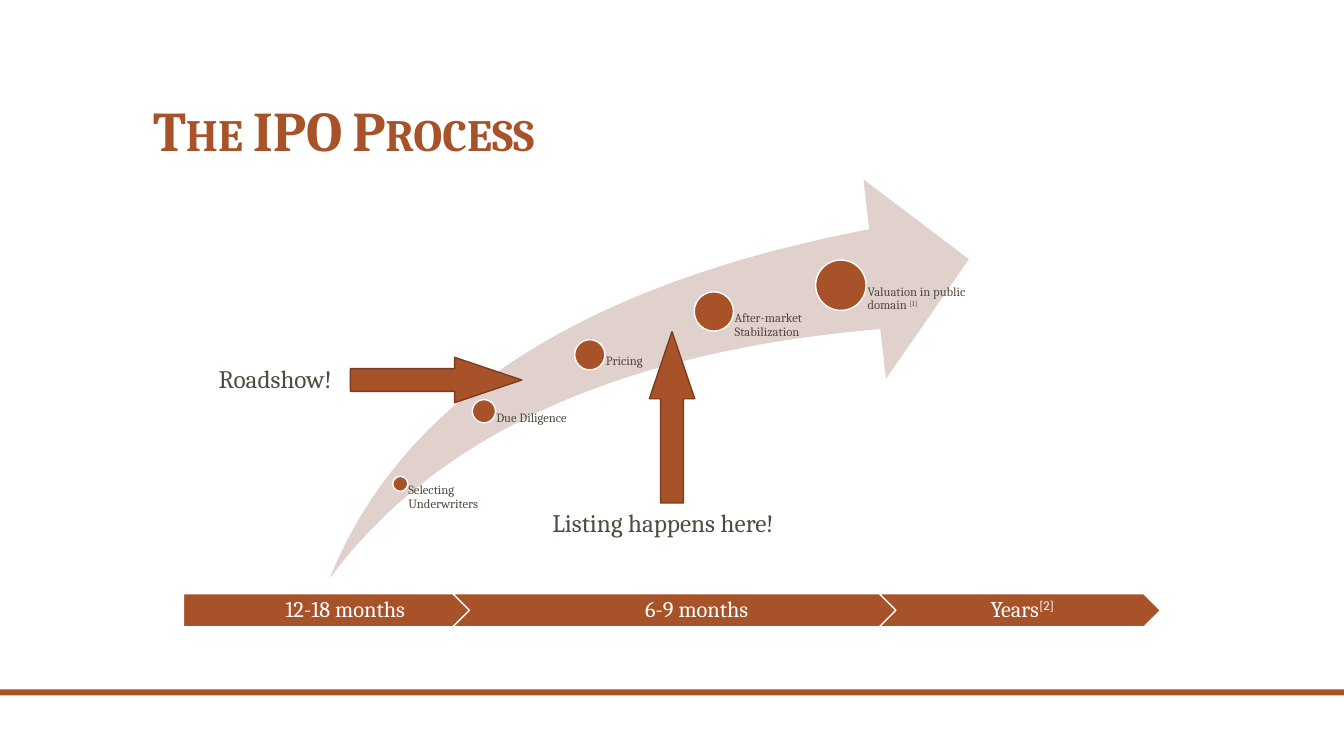
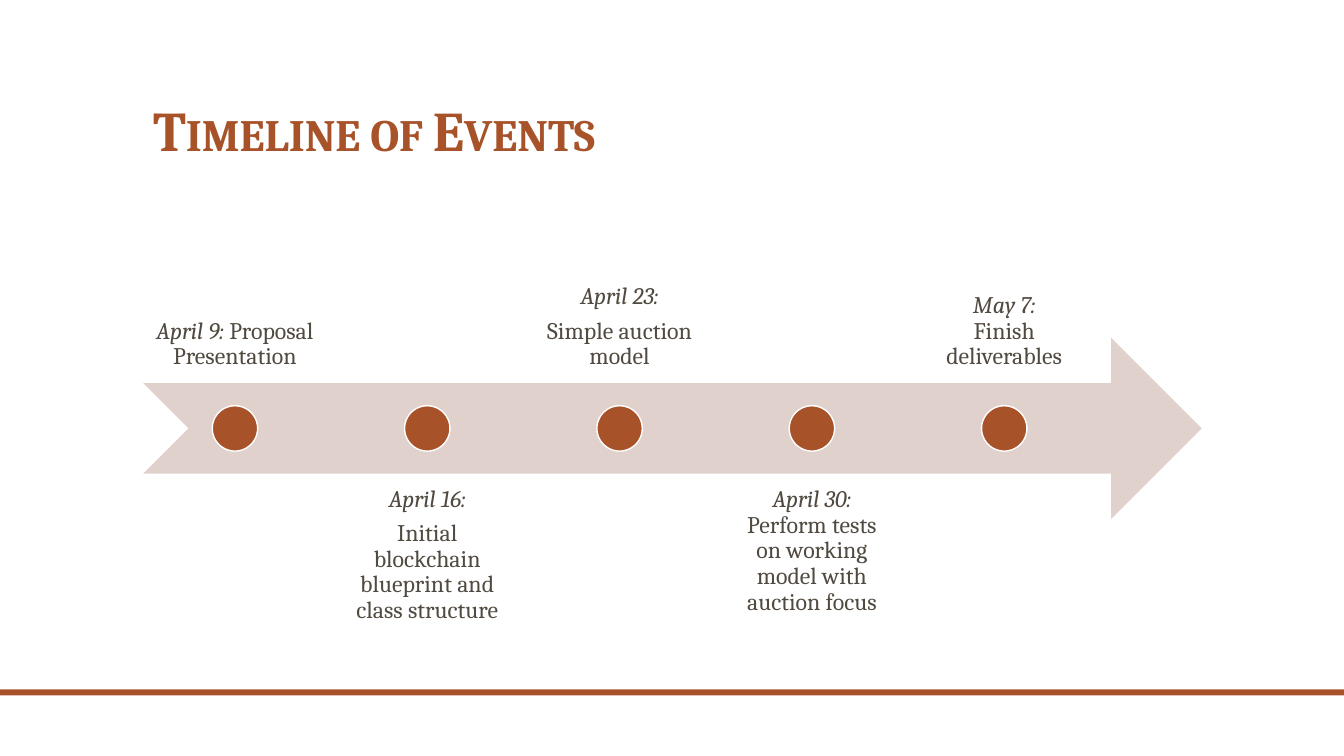
from pptx import Presentation
from pptx.dml.color import RGBColor
from pptx.enum.shapes import MSO_SHAPE
from pptx.enum.text import MSO_ANCHOR, PP_ALIGN
from pptx.util import Inches, Pt

RECT, OVAL = MSO_SHAPE.RECTANGLE, MSO_SHAPE.OVAL
SWOOSH, UP_ARROW = MSO_SHAPE.SWOOSH_ARROW, MSO_SHAPE.UP_ARROW
NOTCHED = MSO_SHAPE.NOTCHED_RIGHT_ARROW
PLATE, CHEVRON = MSO_SHAPE.PENTAGON, MSO_SHAPE.CHEVRON
TOP, MIDDLE, BOTTOM = MSO_ANCHOR.TOP, MSO_ANCHOR.MIDDLE, MSO_ANCHOR.BOTTOM
LEFT, CENTER = PP_ALIGN.LEFT, PP_ALIGN.CENTER

# Shared style
FONT = "Cambria"
RUST, RUST_DARK, BLUSH = "A85229", "7C3D1E", "E1D1CD"
INK, WHITE = "514A40", "FFFFFF"
SLIDE_W, SLIDE_H = 13.33, 7.5
TITLE_BOX = (1.42, 0.42, 10.5, 1.25)
FOOTER_BAND = (0, 6.84, SLIDE_W, 0.06)
INSETS = (0.1, 0.05, 0.1, 0.05)
ITALIC = {"italic": True}
SUPER = {"baseline": "30000"}
TITLE = {"bold": True, "cap": "small"}

# Content: a text is a list of paragraphs, a paragraph a list of (text, format)
IPO_TITLE = "The IPO Process"
SWOOSH_BOX = (3.27, 1.78, 6.34, 3.96)
# centre x, centre y, diameter, label width, label
STEPS = [
    (3.97, 4.80, 0.15, 0.83, [("Selecting Underwriters", {})]),
    (4.80, 4.08, 0.23, 1.05, [("Due Diligence", {})]),
    (5.85, 3.52, 0.30, 1.22, [("Pricing", {})]),
    (7.08, 3.09, 0.39, 1.27, [("After-market Stabilization", {})]),
    (8.34, 2.83, 0.50, 1.27, [("Valuation in public domain ", {}), ("[1]", SUPER)]),
]
# arrow left, arrow top, rotation, callout text, callout box
CALLOUTS = [
    (6.44, 3.29, 0, "Listing happens here!", (5.38, 4.98, 2.57, 0.4)),
    (4.10, 2.92, 90, "Roadshow!", (2.07, 3.56, 1.46, 0.4)),
]
# shape, left, width, left inset, text
PHASES = [
    (PLATE, 1.82, 3.22, 0.09, [("12-18 months", {})]),
    (CHEVRON, 4.49, 4.79, 0.07, [("6-9 months", {})]),
    (CHEVRON, 8.72, 2.79, 0.07, [("Years", {}), ("[2]", SUPER)]),
]
PHASE_TOP, PHASE_H = 5.89, 0.33

EVENTS_TITLE = "Timeline of Events"
TIMELINE_BOX = (1.42, 3.35, 10.5, 1.8)
EVENTS = [
    [[("April 9: ", ITALIC), ("Proposal Presentation", {})]],
    [[("April 16:", ITALIC)],
     [("Initial blockchain blueprint and class structure", {})]],
    [[("April 23:", ITALIC)], [("Simple auction model", {})]],
    [[("April 30:\n", ITALIC),
      ("Perform tests on working model with auction focus", {})]],
    [[("May 7:\n", ITALIC), ("Finish deliverables", {})]],
]
EVENT_W, EVENT_H, LAST_EVENT_X, EVENT_DOT = 1.82, 1.8, 9.05, 0.45


def rgb(color):
    return RGBColor.from_string(color)


def add_run(p, text, size, color, extra):
    r = p.add_run()
    r.text = text.rstrip("\n")
    r.font.color.rgb = rgb(color)
    for name, value in {"name": FONT, "size": Pt(size)}.items():
        setattr(r.font, name, value)
    for name, value in extra.items():
        if name in ("cap", "baseline"):
            r.font._element.set(name, value)
        else:
            setattr(r.font, name, value)
    if text.endswith("\n"):
        p.add_line_break()


def set_text(sp, paragraphs, size, color=INK, anchor=TOP, align=LEFT,
             insets=INSETS, spacing=0.9):
    tf = sp.text_frame
    tf.word_wrap, tf.vertical_anchor = True, anchor
    for side, inset in zip(("left", "top", "right", "bottom"), insets):
        setattr(tf, f"margin_{side}", Inches(inset))
    for i, runs in enumerate(paragraphs):
        p = tf.paragraphs[0] if i == 0 else tf.add_paragraph()
        p.alignment, p.line_spacing = align, spacing
        p.space_after = Pt(6 if len(paragraphs) > 1 else 0)
        for text, extra in runs:
            add_run(p, text, size, color, extra)


def add_text(s, box, paragraphs, size, **style):
    sp = s.shapes.add_textbox(*map(Inches, box))
    set_text(sp, paragraphs, size, **style)


def add_shape(s, kind, box, fill=RUST, line=None, adjustments=()):
    sp = s.shapes.add_shape(kind, *map(Inches, box))
    sp.shadow.inherit = False
    sp.fill.solid()
    sp.fill.fore_color.rgb = rgb(fill)
    if line:
        sp.line.color.rgb = rgb(line)
        sp.line.width = Pt(1)
    else:
        sp.line.fill.background()
    for i, value in enumerate(adjustments):
        sp.adjustments[i] = value
    return sp


def add_dot(s, x, y, size):
    add_shape(s, OVAL, (x - size / 2, y - size / 2, size, size), line=WHITE)


def add_slide(prs, title):
    s = prs.slides.add_slide(prs.slide_layouts[6])
    add_shape(s, RECT, FOOTER_BAND)
    add_text(s, TITLE_BOX, [[(title, TITLE)]], 40, color=RUST, anchor=BOTTOM)
    return s


def build_ipo_process(prs):
    s = add_slide(prs, IPO_TITLE)
    add_shape(s, SWOOSH, SWOOSH_BOX, BLUSH, adjustments=(0.25, 0.25))
    # Steps: each label starts at its dot's centre, indented past the dot
    swoosh_bottom = SWOOSH_BOX[1] + SWOOSH_BOX[3]
    for x, y, size, width, label in STEPS:
        add_dot(s, x, y, size)
        add_text(s, (x, y, width, swoosh_bottom - y), [label], 9,
                 insets=(0.53 * size, 0, 0, 0))
    # Callouts with arrows
    for x, y, rotation, text, box in CALLOUTS:
        arrow = add_shape(s, UP_ARROW, (x, y, 0.45, 1.7), line=RUST_DARK,
                          adjustments=(0.5, 1.48))
        arrow.rotation = rotation
        add_text(s, box, [[(text, {})]], 18, spacing=1.0)
    # Duration bar
    for kind, x, width, inset, runs in PHASES:
        sp = add_shape(s, kind, (x, PHASE_TOP, width, PHASE_H), line=WHITE)
        set_text(sp, [runs], 16, color=WHITE, anchor=MIDDLE, align=CENTER,
                 insets=(inset, 0.05, 0.02, 0.05))


def build_timeline(prs):
    s = add_slide(prs, EVENTS_TITLE)
    add_shape(s, NOTCHED, TIMELINE_BOX, BLUSH)
    left, top, _, height = TIMELINE_BOX
    middle = top + height / 2
    pitch = (LAST_EVENT_X - left) / (len(EVENTS) - 1)
    # Events alternate above and below the arrow's shaft
    for i, paragraphs in enumerate(EVENTS):
        x = left + i * pitch
        above = i % 2 == 0
        y = middle - height / 4 - EVENT_H if above else middle + height / 4
        add_text(s, (x, y, EVENT_W, EVENT_H), paragraphs, 17,
                 anchor=BOTTOM if above else TOP, align=CENTER,
                 insets=(0.13,) * 4)
        add_dot(s, x + EVENT_W / 2, middle, EVENT_DOT)


def main():
    prs = Presentation()
    prs.slide_width, prs.slide_height = Inches(SLIDE_W), Inches(SLIDE_H)
    build_ipo_process(prs)
    build_timeline(prs)
    prs.save("out.pptx")


if __name__ == "__main__":
    main()
